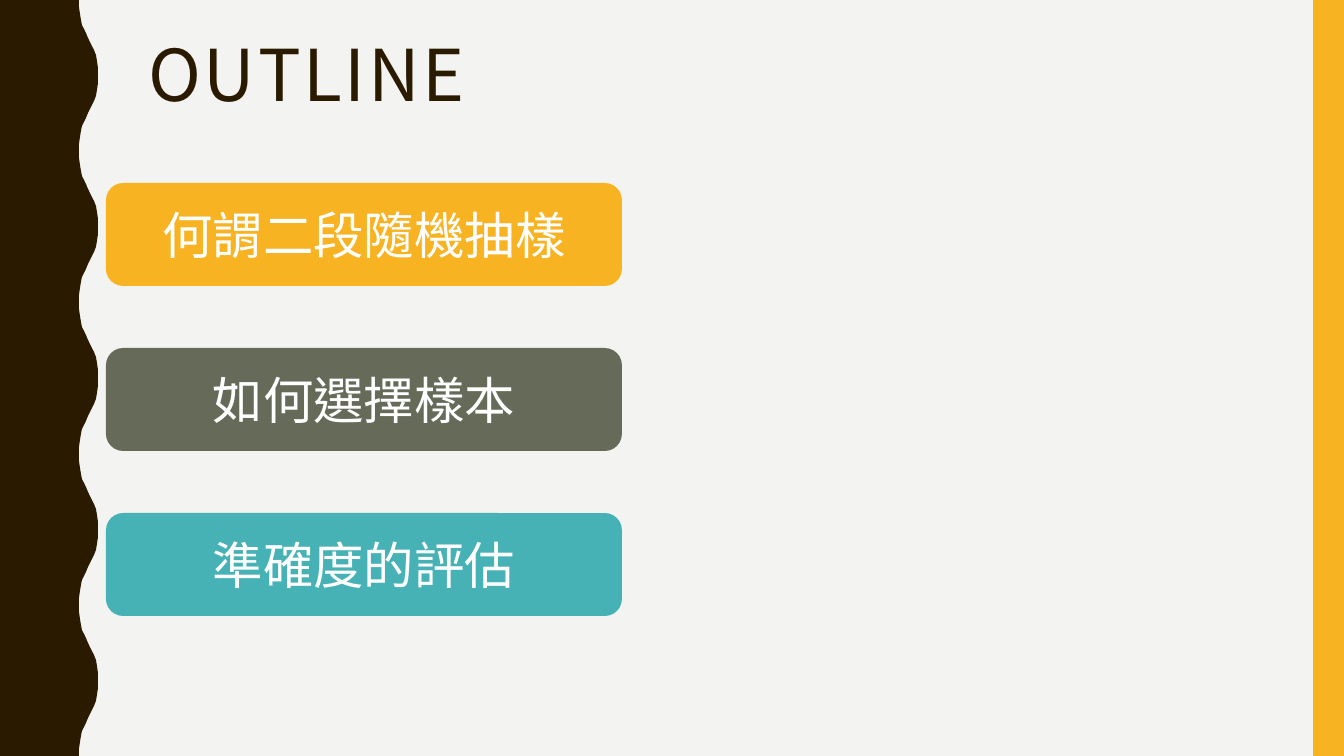
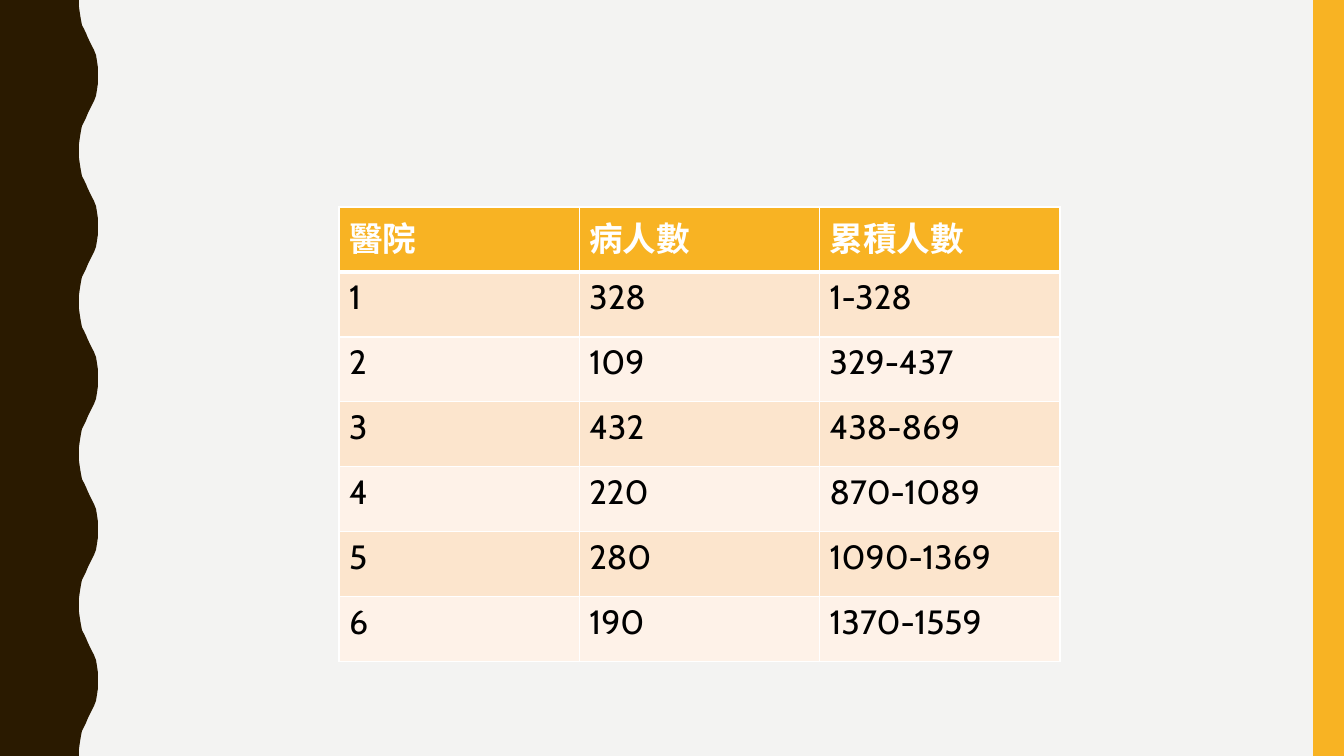
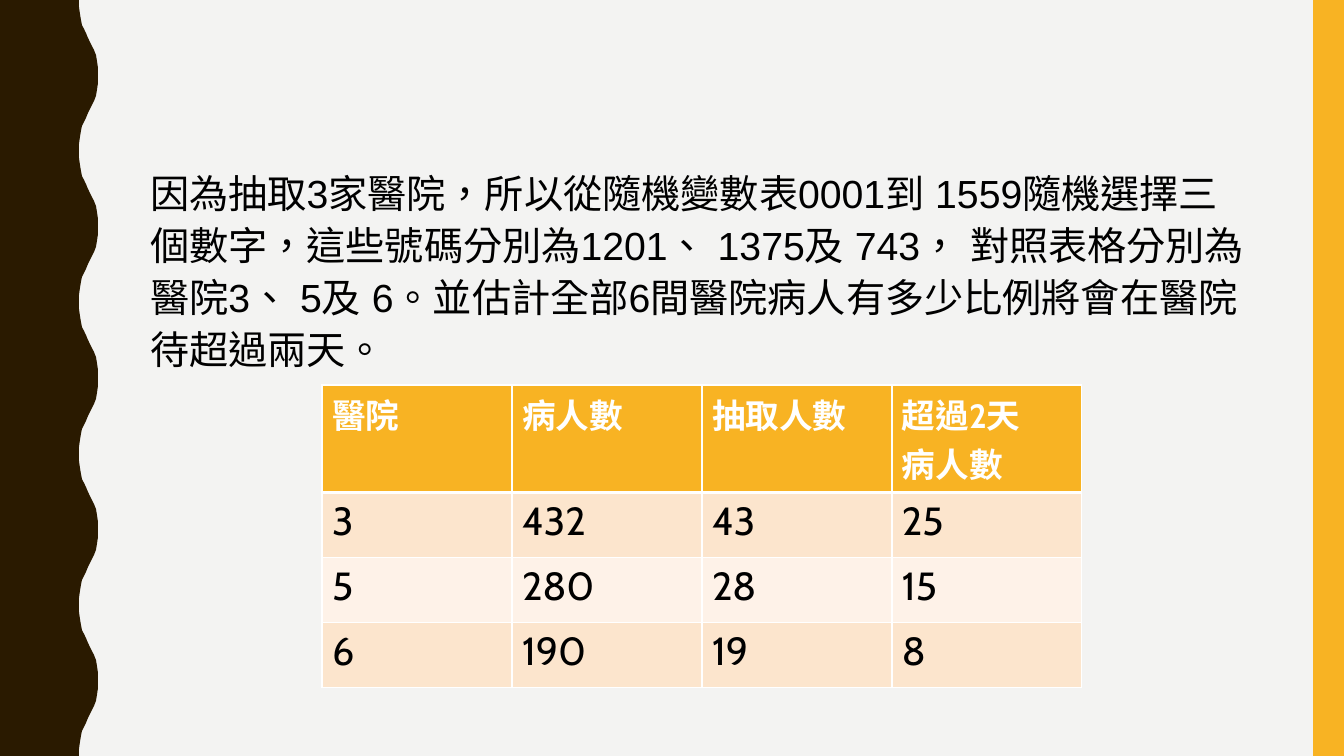
from lxml import etree
from pptx import Presentation
from pptx.dml.color import RGBColor
from pptx.enum.shapes import MSO_SHAPE
from pptx.enum.text import MSO_ANCHOR, PP_ALIGN
from pptx.oxml.ns import qn
from pptx.util import Pt

RECTANGLE = MSO_SHAPE.RECTANGLE
ROUNDED = MSO_SHAPE.ROUNDED_RECTANGLE
TOP, MIDDLE = MSO_ANCHOR.TOP, MSO_ANCHOR.MIDDLE
LEFT, CENTER = PP_ALIGN.LEFT, PP_ALIGN.CENTER

# Shared style: a slide is 1344 by 756 px
PX = 12192000 / 1344
WIDTH, HEIGHT = 1344, 756
BROWN, GOLD, GRAY, TEAL = "2A1A00", "F8B323", "656A59", "46B2B5"
PAPER, WHITE, BLACK = "F3F3F2", "FFFFFF", "000000"
BANDS = ["FCE5CD", "FEF2E8"]
CJK = "Noto Sans CJK SC"


def color(hex_text):
    return RGBColor.from_string(hex_text)


def style_text(frame, size, latin, asian, ink, bold=False, align=LEFT):
    for para in frame.paragraphs:
        para.alignment = align
        for span in para.runs:
            span.font.size = Pt(size)
            span.font.name = latin
            span.font.bold = bold
            span.font.color.rgb = color(ink)
            properties = span._r.get_or_add_rPr()
            properties.set("lang", "zh-TW")
            etree.SubElement(properties, qn("a:ea")).set("typeface", asian)


deck = Presentation()
deck.slide_width, deck.slide_height = round(WIDTH * PX), round(HEIGHT * PX)
outline = deck.slides.add_slide(deck.slide_layouts[5])
hospitals = deck.slides.add_slide(deck.slide_layouts[6])
sample = deck.slides.add_slide(deck.slide_layouts[1])

# Master: paper background, wavy brown edge, gold bar
master = deck.slide_master
master.background.fill.solid()
master.background.fill.fore_color.rgb = color(PAPER)

rise = [(79, 0), (79, 7), (80, 14), (81, 20), (82, 25), (84, 29), (86, 33),
        (88, 38), (90, 42), (92, 46), (94, 50), (96, 55), (97, 61), (98, 68)]
wave_count = 5
period = HEIGHT / wave_count
bump = rise + [(98, period / 2)] + [(x, period - y) for x, y in reversed(rise)]
edge = [(x, y + wave * period) for wave in range(wave_count) for x, y in bump]
builder = outline.shapes.build_freeform(0, 0, scale=PX)
builder.add_line_segments(edge + [(0, HEIGHT)], close=True)
wave_edge = builder.convert_to_shape()
gold_bar = outline.shapes.add_shape(
    RECTANGLE, round(1313 * PX), 0, round(31 * PX), round(HEIGHT * PX))
for position, (part, fill) in enumerate([(wave_edge, BROWN), (gold_bar, GOLD)]):
    part.shadow.inherit = False
    part.fill.solid()
    part.fill.fore_color.rgb = color(fill)
    part.line.fill.background()
    master.shapes._spTree.insert(2 + position, part._element)

# Slide 1: title and three topics
title = outline.shapes.title
title.left, title.top = round(138 * PX), round(42 * PX)
title.width, title.height = round(1122 * PX), round(164 * PX)
title.text_frame.text = "OUTLINE"
title.text_frame.vertical_anchor = TOP
title.text_frame.paragraphs[0].line_spacing = 0.8
style_text(title.text_frame, 51, CJK, CJK, BROWN)
title.text_frame.paragraphs[0].runs[0]._r.get_or_add_rPr().set("spc", "200")

topics = [("何謂二段隨機抽樣", GOLD), ("如何選擇樣本", GRAY), ("準確度的評估", TEAL)]
for row, (topic, fill) in enumerate(topics):
    box = outline.shapes.add_shape(
        ROUNDED, round(106 * PX), round((183 + 165 * row) * PX),
        round(516 * PX), round(103 * PX))
    box.shadow.inherit = False
    box.fill.solid()
    box.fill.fore_color.rgb = color(fill)
    box.line.fill.background()
    box.text_frame.text = topic
    box.text_frame.vertical_anchor = MIDDLE
    style_text(box.text_frame, 36, CJK, CJK, WHITE, align=CENTER)

# Slide 3: explanation
sample.shapes.title._element.getparent().remove(sample.shapes.title._element)
body = sample.placeholders[1]
body.left, body.top = round(140 * PX), round(160 * PX)
body.width, body.height = round(1122 * PX), round(396 * PX)
body.text_frame.text = (
    "因為抽取3家醫院，所以從隨機變數表0001到 1559隨機選擇三個數字，"
    "這些號碼分別為1201、 1375及 743， 對照表格分別為醫院3、 5及 6。"
    "並估計全部6間醫院病人有多少比例將會在醫院待超過兩天。")
para = body.text_frame.paragraphs[0]
para.line_spacing = 1.1
para.space_before = Pt(7)
style_text(body.text_frame, 28, "Arial", "Arial", BLACK)
paragraph_properties = para._p.get_or_add_pPr()
paragraph_properties.set("marL", "0")
paragraph_properties.set("indent", "0")
etree.SubElement(paragraph_properties, qn("a:buNone"))

# Slides 2 and 3: tables as (page, left, top, width, row height, body size, rows)
tables = [
    (hospitals, 339, 207, 721, 65, 24, [
        ["醫院", "病人數", "累積人數"],
        ["1", "328", "1-328"],
        ["2", "109", "329-437"],
        ["3", "432", "438-869"],
        ["4", "220", "870-1089"],
        ["5", "280", "1090-1369"],
        ["6", "190", "1370-1559"]]),
    (sample, 322, 385, 760, 65, 28, [
        ["醫院", "病人數", "抽取人數", "超過2天\n病人數"],
        ["3", "432", "43", "25"],
        ["5", "280", "28", "15"],
        ["6", "190", "19", "8"]]),
]
for page, left, top, width, row_height, body_size, rows in tables:
    table = page.shapes.add_table(
        len(rows), len(rows[0]), round(left * PX), round(top * PX),
        round(width * PX), round(row_height * len(rows) * PX)).table
    for row, values in enumerate(rows):
        header = row == 0
        for column, value in enumerate(values):
            cell = table.cell(row, column)
            cell.text_frame.text = value
            style_text(cell.text_frame, 24 if header else body_size, "Cabin", CJK,
                       WHITE if header else BLACK, bold=header)
            # Borders come before the fill in the cell properties
            cell_properties = cell._tc.get_or_add_tcPr()
            for side in ("L", "R", "T", "B"):
                thick = (header and side == "B") or (row == 1 and side == "T")
                border = etree.SubElement(cell_properties, qn("a:ln" + side))
                border.set("w", str(Pt(3 if thick else 1)))
                paint = etree.SubElement(border, qn("a:solidFill"))
                etree.SubElement(paint, qn("a:srgbClr")).set("val", WHITE)
            cell.fill.solid()
            cell.fill.fore_color.rgb = color(GOLD if header else BANDS[(row - 1) % 2])

deck.save("out.pptx")
